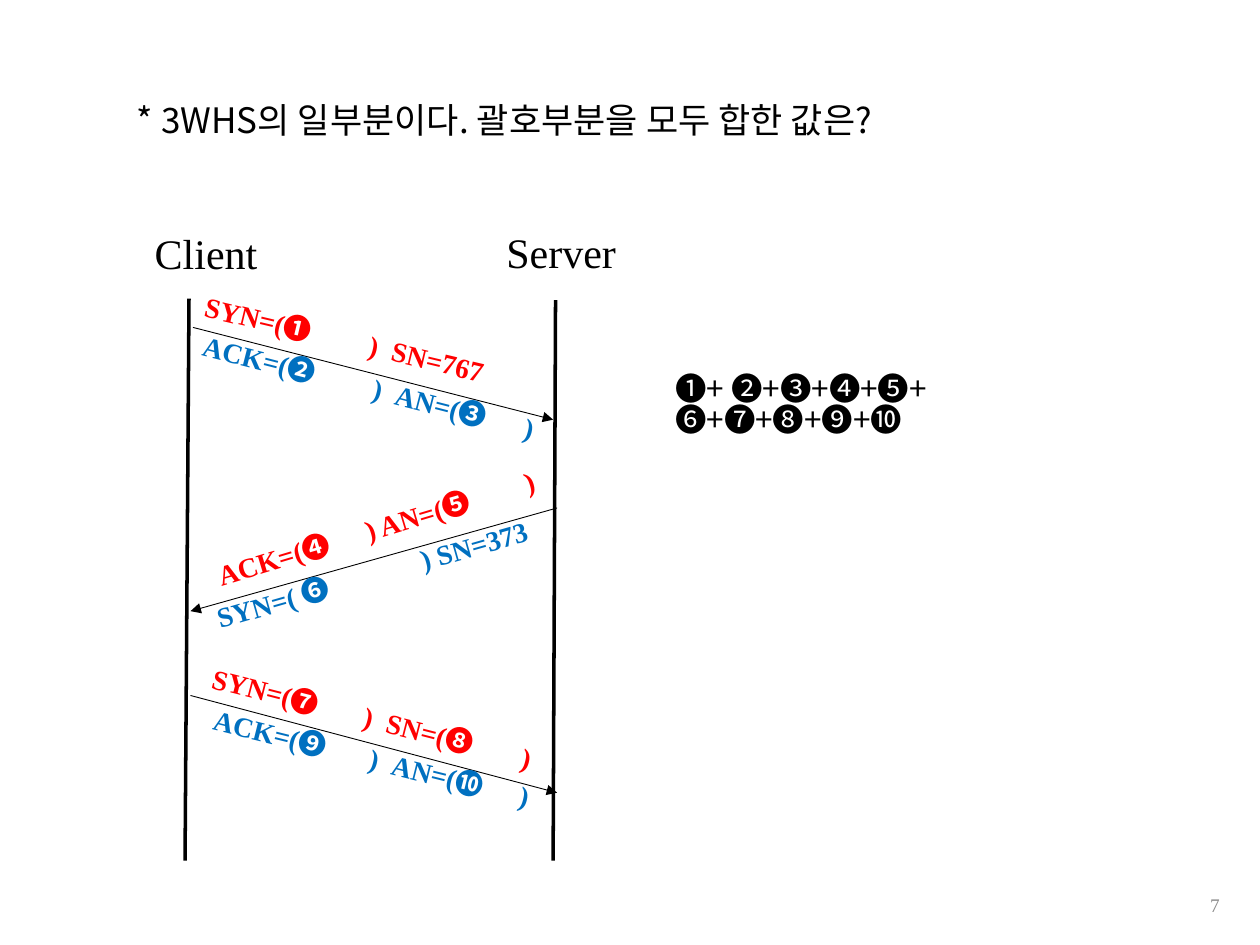
from itertools import groupby

from lxml import etree
from pptx import Presentation
from pptx.dml.color import RGBColor
from pptx.enum.shapes import MSO_CONNECTOR
from pptx.enum.text import MSO_ANCHOR, MSO_AUTO_SIZE, PP_ALIGN
from pptx.oxml.ns import qn
from pptx.util import Cm, Pt

LEFT, RIGHT = PP_ALIGN.LEFT, PP_ALIGN.RIGHT
TOP, MIDDLE = MSO_ANCHOR.TOP, MSO_ANCHOR.MIDDLE
FIXED = MSO_AUTO_SIZE.NONE
STRAIGHT = MSO_CONNECTOR.STRAIGHT

COLORS = {"black": "000000", "red": "FF0000", "blue": "0070C0", "gray": "8C8C8C"}
SERIF = "Times New Roman"
SANS = "Noto Sans CJK KR"
MARKS = "❶❷❸❹❺❻❼❽❾❿"


def color(name):
    return RGBColor.from_string(COLORS[name])


def write(frame, text, size=16, font=SERIF, hue="black", bold=False,
          align=LEFT, gap=1.0, tabs=()):
    for i, line in enumerate(text.split("\n")):
        para = frame.paragraphs[0] if i == 0 else frame.add_paragraph()
        if tabs:
            stops = etree.SubElement(para._p.get_or_add_pPr(), qn("a:tabLst"))
            for stop in tabs:
                etree.SubElement(stops, qn("a:tab"), pos=str(Cm(stop)), algn="l")
        para.alignment = align
        para.line_spacing = gap
        for mark, part in groupby(line, lambda c: c in MARKS):
            run = para.add_run()
            run.text = "".join(part)
            run.font.size = Pt(size)
            run.font.bold = bold
            run.font.color.rgb = color(hue)
            run.font.name = SANS if mark else font
            etree.SubElement(run.font._element, qn("a:ea"), typeface=SANS)


class Board:
    def __init__(self, slide):
        self.slide = slide
        self.tight = 0.83

    def fill(self, shape, text, indent=0, anchor=TOP, **style):
        frame = shape.text_frame
        frame.word_wrap = True
        frame.auto_size = FIXED
        frame.vertical_anchor = anchor
        frame.margin_left = Cm(0.25 + indent)
        write(frame, text, **style)

    def title(self, text, x, y, w, h, **style):
        shape = self.slide.shapes.title
        shape.left, shape.top, shape.width, shape.height = map(Cm, (x, y, w, h))
        self.fill(shape, text, gap=self.tight, **style)

    def label(self, text, x, y, w, h, turn=0, **style):
        shape = self.slide.shapes.add_textbox(*map(Cm, (x, y, w, h)))
        shape.rotation = turn
        self.fill(shape, text, **style)

    def field(self, text, x, y, w, turn, **style):
        self.label(text, x, y, w, 0.94, turn, bold=True, gap=self.tight, **style)

    def line(self, start, end, width, arrow=False):
        link = self.slide.shapes.add_connector(STRAIGHT, *map(Cm, start + end))
        link.line.width = Pt(width)
        link.line.color.rgb = color("black")
        if arrow:
            etree.SubElement(link.line._get_or_add_ln(), qn("a:tailEnd"), type="triangle")
        etree.SubElement(link._element.spPr, qn("a:effectLst"))


def main():
    deck = Presentation()
    deck.slide_width, deck.slide_height = Cm(25.4), Cm(19.05)
    board = Board(deck.slides.add_slide(deck.slide_layouts[5]))

    board.title("* 3WHS의 일부분이다. 괄호부분을 모두 합한 값은?",
                2.51, 2.01, 16.54, 1.12, size=20, font=SANS)
    board.label("Client", 2.87, 4.47, 2.82, 1.27, size=24)
    board.label("Server", 9.96, 4.45, 2.95, 1.27, size=24)

    board.line((3.81, 6.02), (3.73, 17.35), 2)
    board.line((11.2, 6.05), (11.15, 17.35), 2)
    arrows = [
        ((3.89, 6.6), (11.15, 8.46)),
        ((11.23, 10.24), (3.84, 12.32)),
        ((3.84, 14.02), (11.23, 15.98)),
    ]
    for start, end in arrows:
        board.line(start, end, 0.5, arrow=True)

    fields = [
        ("SYN=(❶\t)\tSN=767", 3.51, 6.48, 6.86, 13.4, "red", 0.28, (3.4, 3.87)),
        ("ACK=(❷\t)\tAN=(❸\t)", 2.74, 7.39, 8.94, 14.4, "blue", 0.99, (3.53, 4, 6.68)),
        ("ACK=(❹\t) AN=(❺\t)", 4.04, 10.24, 7.49, 343.2, "red", 0, (3.1, 6.45)),
        ("SYN=( ❻\t) SN=373", 3.2, 11.3, 8.1, 344.1, "blue", 0.85, (4.27,)),
        ("SYN=(❼\t)\tSN=(❽\t)", 3.2, 14.15, 8.76, 14.4, "red", 0.71, (3.15, 3.62, 6.43)),
        ("ACK=(❾\t)\tAN=(❿\t)", 3.94, 15.01, 7.7, 14, "blue", 0, (3.23, 3.7, 6.35)),
    ]
    for text, x, y, w, turn, hue, indent, tabs in fields:
        board.field(text, x, y, w, turn, hue=hue, indent=indent, tabs=tabs)

    board.label("❶+ ❷+❸+❹+❺+\n❻+❼+❽+❾+❿", 13.36, 7.44, 10.29, 2.0,
                size=18, font=SANS, gap=board.tight)
    board.label("7", 20.55, 17.86, 4.29, 0.76, size=11, hue="gray",
                align=RIGHT, anchor=MIDDLE)
    deck.save("out.pptx")


if __name__ == "__main__":
    main()
